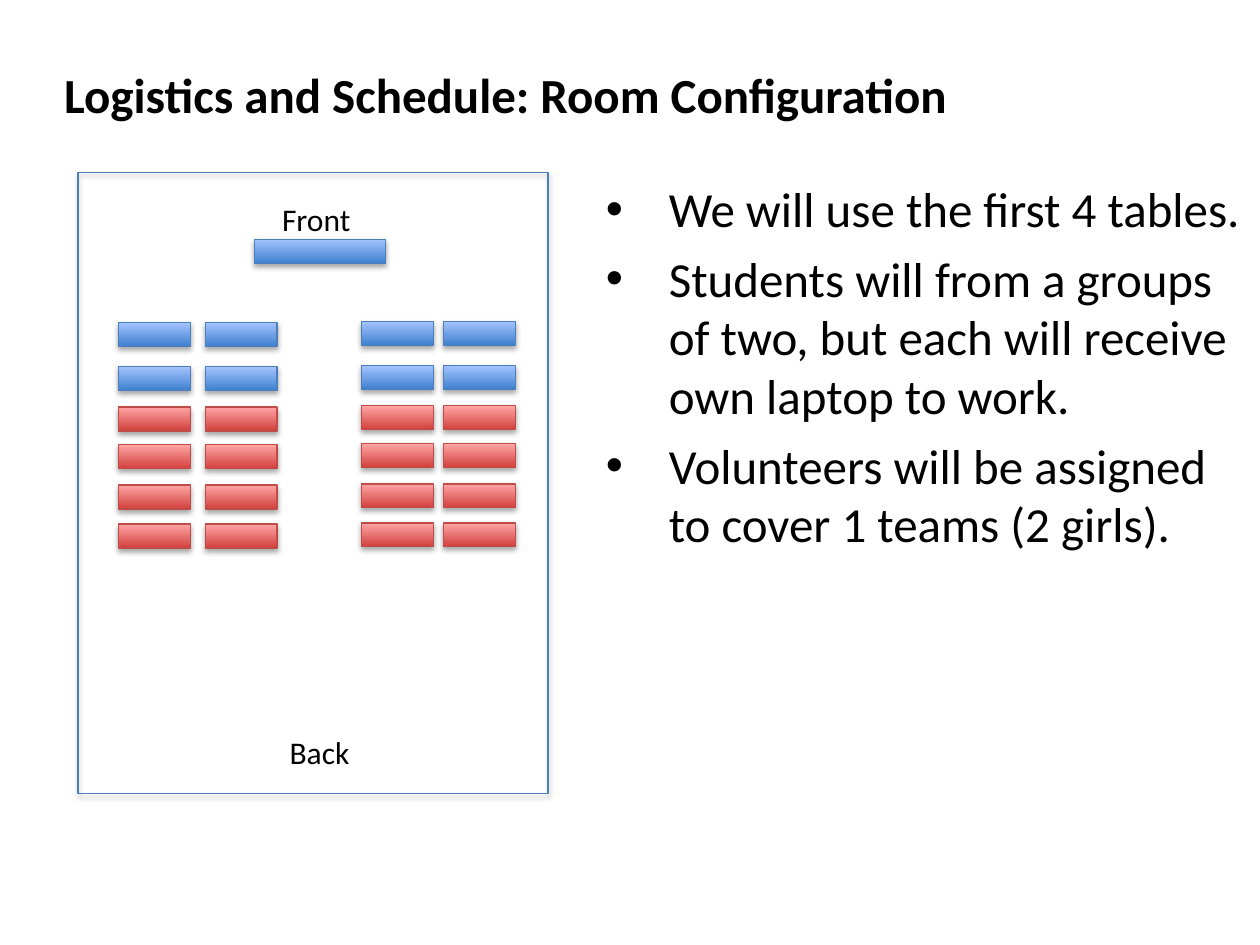
from dataclasses import dataclass

from lxml import etree
from pptx import Presentation
from pptx.dml.color import RGBColor
from pptx.enum.shapes import MSO_SHAPE
from pptx.enum.text import MSO_ANCHOR, PP_ALIGN
from pptx.oxml.ns import qn
from pptx.util import Inches, Pt

RECT = MSO_SHAPE.RECTANGLE
TOP = MSO_ANCHOR.TOP
LEFT = PP_ALIGN.LEFT
COLS, ROWS = 100, 75


@dataclass(frozen=True)
class Theme:
    """Colours, font and sizes of the slide."""
    font: str = "Calibri"
    ink: str = "000000"
    blue: tuple = ("3F80CE", "A4C4FF", "4B7EBC")
    red: tuple = ("D1403C", "FFA6A5", "BF4C48")
    head: int = 28
    body: int = 28
    label: int = 18
    edge: float = 0.75


class Board:
    """Draws elements on one slide, placed by grid columns and rows."""

    def __init__(self, deck, theme):
        self.theme = theme
        self.wide, self.high = deck.slide_width, deck.slide_height
        self.slide = deck.slides.add_slide(deck.slide_layouts[5])

    def place(self, col, row, cols, rows):
        """Turn grid units into lengths."""
        x, y = self.wide / COLS, self.high / ROWS
        return [round(n) for n in (col * x, row * y, cols * x, rows * y)]

    def add_text(self, para, text, size, bold=False):
        """Add one styled run."""
        run = para.add_run()
        run.text = text
        font = run.font
        font.name, font.size, font.bold = self.theme.font, Pt(size), bold
        font.color.rgb = RGBColor.from_string(self.theme.ink)

    def title(self, text, *area):
        """Move and fill the title placeholder."""
        shape = self.slide.shapes.title
        shape.left, shape.top, shape.width, shape.height = self.place(*area)
        frame = shape.text_frame
        frame.vertical_anchor = TOP
        para = frame.paragraphs[0]
        para.alignment = LEFT
        self.add_text(para, text, self.theme.head, True)

    def label(self, text, *area):
        """Add a short unwrapped text."""
        frame = self.slide.shapes.add_textbox(*self.place(*area)).text_frame
        frame.word_wrap = False
        self.add_text(frame.paragraphs[0], text, self.theme.label)

    def points(self, lines, *area):
        """Add a bulleted list."""
        frame = self.slide.shapes.add_textbox(*self.place(*area)).text_frame
        frame.word_wrap = True
        for i, line in enumerate(lines):
            para = frame.add_paragraph() if i else frame.paragraphs[0]
            props = para._p.get_or_add_pPr()
            props.set("marL", str(Inches(0.5)))
            props.set("indent", str(-Inches(0.5)))
            etree.SubElement(props, qn("a:buFont"), typeface="Arial")
            etree.SubElement(props, qn("a:buChar"), char="•")
            para.space_after = Pt(6)
            self.add_text(para, line, self.theme.body)

    def shade(self, shape):
        """Give a shape a soft shadow below."""
        shape.shadow.inherit = False
        effects = shape._element.spPr.find(qn("a:effectLst"))
        drop = etree.SubElement(
            effects, qn("a:outerShdw"), blurRad=str(Pt(3.1)),
            dist=str(Pt(1.8)), dir="5400000", rotWithShape="0")
        color = etree.SubElement(drop, qn("a:srgbClr"), val=self.theme.ink)
        etree.SubElement(color, qn("a:alpha"), val="35000")

    def box(self, tone, *area, full=True):
        """Add a rectangle, filled with a gradient or left open."""
        shape = self.slide.shapes.add_shape(RECT, *self.place(*area))
        *stops, edge = tone
        if full:
            shape.fill.gradient()
            shape.fill.gradient_angle = 90
            for stop, color in zip(shape.fill.gradient_stops, stops):
                stop.color.rgb = RGBColor.from_string(color)
        else:
            shape.fill.background()
        shape.line.color.rgb = RGBColor.from_string(edge)
        shape.line.width = Pt(self.theme.edge)
        self.shade(shape)


def main():
    """Build the room plan slide."""
    deck = Presentation()
    deck.slide_width, deck.slide_height = Inches(10), Inches(7.5)
    theme = Theme()
    board = Board(deck, theme)
    board.title("Logistics and Schedule: Room Configuration", 4.1, 4.6, 92, 5.7)
    board.points([
        "We will use the first 4 tables.",
        "Students will from a groups of two, but each will receive "
        "own laptop to work.",
        "Volunteers will be assigned to cover 1 teams (2 girls).",
    ], 47.1, 13.7, 52.9, 64.3)

    board.box(theme.blue, 6.2, 13.7, 37.3, 49.3, full=False)
    board.box(theme.blue, 20.2, 19, 10.4, 1.9)
    used = 2
    for i, row in enumerate((25.6, 29.1, 32.3, 35.3, 38.5, 41.6)):
        tone = theme.blue if i < used else theme.red
        for col, lift in ((9.4, 0), (16.3, 0), (28.7, 0.1), (35.2, 0.1)):
            board.box(tone, col, row - lift, 5.7, 1.9)
    board.label("Front", 21.4, 15.4, 7.5, 4)
    board.label("Back", 22, 57.7, 6.8, 4)
    deck.save("out.pptx")


if __name__ == "__main__":
    main()
